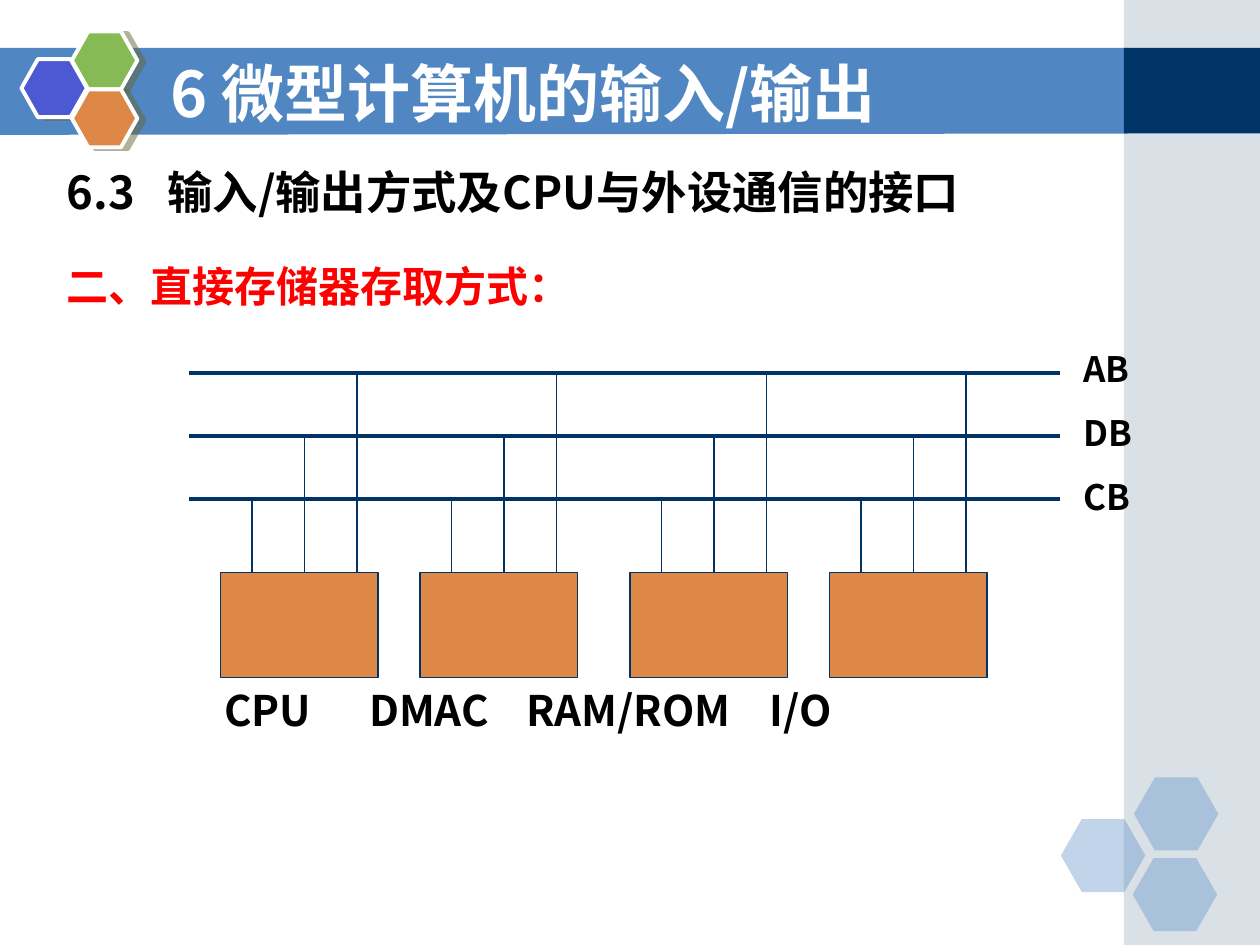
"""Build a slide on direct memory access, with a bus diagram of four modules."""
import pptx
import pptx.dml.color
import pptx.enum.shapes
import pptx.enum.text
import pptx.oxml
import pptx.oxml.ns
import pptx.util

Inches = pptx.util.Inches
Shape = pptx.enum.shapes.MSO_SHAPE
NAMESPACE = pptx.oxml.ns.nsdecls("a")
FONT = "Noto Sans CJK SC"
NAVY, BLUE, ORANGE, WHITE = "003366", "5086C2", "DE8848", "FFFFFF"

deck = pptx.Presentation()
deck.slide_width, deck.slide_height = Inches(10), Inches(7.5)
page = deck.slides.add_slide(deck.slide_layouts[5])
cell = Inches(1) / 12


def paint(target, color, alpha=None):
    """Give a fill, or the fill of a line, a solid colour."""
    target.solid()
    target.fore_color.rgb = pptx.dml.color.RGBColor.from_string(color)
    if alpha is not None:
        for choice in target._xPr.iter(pptx.oxml.ns.qn("a:srgbClr")):
            choice.append(pptx.oxml.parse_xml(f'<a:alpha {NAMESPACE} val="{alpha * 1000}"/>'))


def write(text, place, size, box=None, color="000000", tabs=(), anchor="TOP", inset=0.1, gap=0, spacing=None):
    """Write lines of bold text in a box, made at the place when none is given."""
    left, top, width, height = map(Inches, place)
    box = box or page.shapes.add_textbox(left, top, width, height)
    box.left, box.top, box.width, box.height = left, top, width, height
    frame = box.text_frame
    frame.word_wrap = True
    frame.auto_size = pptx.enum.text.MSO_AUTO_SIZE.NONE
    frame.vertical_anchor = pptx.enum.text.MSO_ANCHOR[anchor]
    frame.margin_left = Inches(inset)
    for index, line in enumerate(text.split("\n")):
        para = frame.add_paragraph() if index else frame.paragraphs[0]
        para.alignment = pptx.enum.text.PP_ALIGN.LEFT
        para.space_before = pptx.util.Pt(gap if index else 0)
        if spacing:
            para.line_spacing = spacing
        if tabs:
            stops = "".join(f'<a:tab pos="{Inches(stop)}" algn="l"/>' for stop in tabs)
            para._p.get_or_add_pPr().append(pptx.oxml.parse_xml(f"<a:tabLst {NAMESPACE}>{stops}</a:tabLst>"))
        span = para.add_run()
        span.text = line
        span.font.size, span.font.bold, span.font.name = pptx.util.Pt(size), True, FONT
        paint(span.font.fill, color)
        span.font._element.append(pptx.oxml.parse_xml(f'<a:ea {NAMESPACE} typeface="{FONT}"/>'))


outline = page.shapes.build_freeform(Inches(-0.01), Inches(0.38), scale=1.0)
outline.add_line_segments([(Inches(x), Inches(y)) for x, y in ((8.95, 0.38), (8.95, 1.06), (-0.01, 1.07))])
banner = outline.convert_to_shape()
banner.shadow.inherit = False
paint(banner.fill, BLUE)
banner.line.fill.background()

decorations = [
    (Shape.RECTANGLE, 8.92, 0, 1.08, 7.5, "A0B5C4", 40),
    (Shape.RECTANGLE, 8.92, 0.38, 1.08, 0.68, NAVY, None),
]
decorations += [(Shape.HEXAGON, x, y, 0.67, 0.58, BLUE, 35) for x, y in ((8.42, 6.5), (9, 6.17), (8.99, 6.81))]
for kind, left, top, width, height, color, alpha in decorations:
    decoration = page.shapes.add_shape(kind, *map(Inches, (left, top, width, height)))
    decoration.shadow.inherit = False
    if kind == Shape.HEXAGON:
        decoration.adjustments[0] = 0.286
    paint(decoration.fill, color, alpha)
    decoration.line.fill.background()

for left, top, color in ((0.17, 0.47, "4C59D2"), (0.57, 0.25, "85BA54"), (0.57, 0.71, ORANGE)):
    hexagon = page.shapes.add_shape(Shape.HEXAGON, *map(Inches, (left, top, 0.52, 0.46)))
    hexagon.adjustments[0] = 0.283
    paint(hexagon.fill, color)
    paint(hexagon.line.fill, WHITE)
    hexagon.line.width = pptx.util.Pt(2.25)
    hexagon._element.spPr.append(pptx.oxml.parse_xml(
        f'<a:effectLst {NAMESPACE}><a:outerShdw dist="{pptx.util.Pt(4.1)}" dir="840000" algn="ctr" '
        'rotWithShape="0"><a:srgbClr val="666633"><a:alpha val="50000"/></a:srgbClr>'
        '</a:outerShdw></a:effectLst>'))

title = page.shapes.title
title.element.getparent().append(title.element)
write("6 微型计算机的输入/输出", (1.25, 0.42, 7.33, 0.62), 36, box=title, color=WHITE, anchor="MIDDLE")
write("二、直接存储器存取方式：", (0.43, 2.02, 8.35, 0.63), 24, color="FF0000")
write("6.3\t输入/输出方式及CPU与外设通信的接口", (0.43, 1.3, 9.13, 0.56), 25.9, tabs=[0.8], spacing=0.9)

bus_rows = (35.5, 41.5, 47.5)
module_row = 54.5
wires = [(18, row, 101, row, 2.25) for row in bus_rows]
for column in (21, 40, 60, 79):
    module = page.shapes.add_shape(
        Shape.RECTANGLE, *(int(count * cell) for count in (column, module_row, 15, 10)))
    module.shadow.inherit = False
    paint(module.fill, ORANGE)
    paint(module.line.fill, NAVY)
    module.line.width = pptx.util.Pt(0.75)
    for offset, row in zip((13, 8, 3), bus_rows):
        wires.append((column + offset, module_row, column + offset, row, 0.75))

for *ends, weight in wires:
    wire = page.shapes.add_connector(
        pptx.enum.shapes.MSO_CONNECTOR.STRAIGHT, *(int(count * cell) for count in ends))
    paint(wire.line.fill, NAVY)
    wire.line.width = pptx.util.Pt(weight)
    wire._element.spPr.append(pptx.oxml.parse_xml(f"<a:effectLst {NAMESPACE}/>"))

write("AB\nDB\nCB", (8.5, 2.71, 1.33, 1.45), 20, gap=12.5)
write("CPU\tDMAC\tRAM/ROM\tI/O", (1.38, 5.38, 7.58, 0.5), 24, tabs=[1.15, 2.4, 4.33], inset=0.4)

deck.save("out.pptx")
